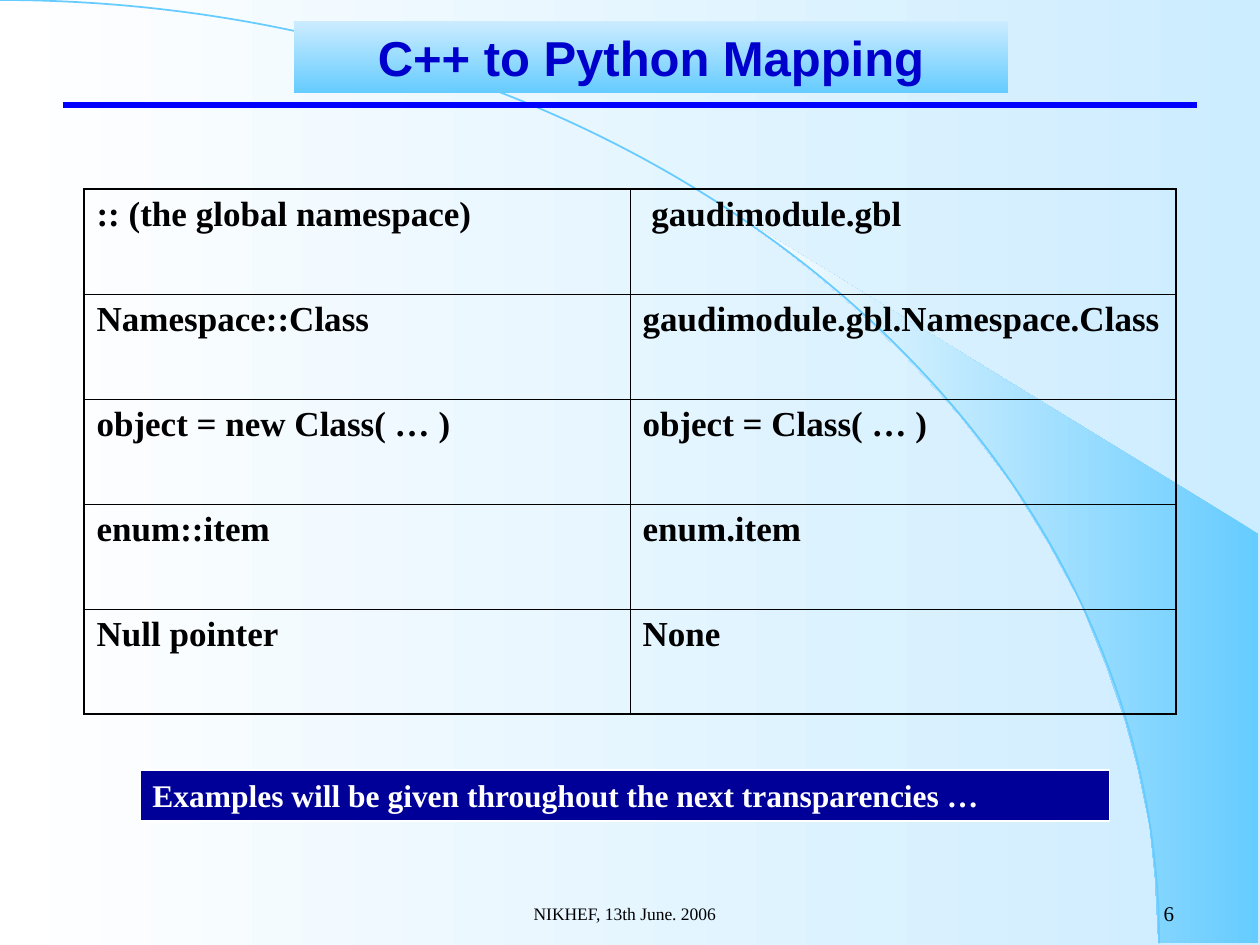
from lxml import etree
from pptx import Presentation
from pptx.dml.color import RGBColor
from pptx.enum.shapes import MSO_CONNECTOR, MSO_SHAPE
from pptx.enum.text import MSO_ANCHOR, MSO_AUTO_SIZE, PP_ALIGN
from pptx.oxml import parse_xml
from pptx.oxml.ns import nsdecls, qn
from pptx.util import Pt

LEFT, CENTER, RIGHT = PP_ALIGN.LEFT, PP_ALIGN.CENTER, PP_ALIGN.RIGHT
TOP, MIDDLE = MSO_ANCHOR.TOP, MSO_ANCHOR.MIDDLE
SERIF, SANS = "Times New Roman", "Arial"
HEX = {
    "pale": "CCECFF", "sky": "66CCFF", "white": "FFFFFF", "mist": "FEFEFE",
    "rule": "0000FF", "title": "0000CC", "navy": "000099", "black": "000000",
}
RGB = {name: RGBColor.from_string(code) for name, code in HEX.items()}


def write(frame, text, size=20, font=SERIF, color="black", bold=True,
          align=LEFT, anchor=TOP):
    frame.word_wrap = True
    frame.auto_size = MSO_AUTO_SIZE.NONE
    frame.vertical_anchor = anchor
    frame.margin_left = frame.margin_right = Pt(7.2)
    frame.margin_top = frame.margin_bottom = Pt(3.6)
    para = frame.paragraphs[0]
    para.text = text
    para.alignment = align
    para.line_spacing = 1.0
    para.space_before = Pt(0)
    para.font.size, para.font.name, para.font.bold = Pt(size), font, bold
    para.font.color.rgb = RGB[color]


def shade(fill, start, end, angle):
    """Give a two-colour gradient; the angle runs counter-clockwise."""
    fill.gradient()
    fill.gradient_angle = angle
    for stop, color in zip(fill.gradient_stops, (start, end)):
        stop.color.rgb = RGB[color]


deck = Presentation()
deck.slide_width, deck.slide_height = Pt(720), Pt(540)
slide = deck.slides.add_slide(deck.slide_layouts[5])
shapes = slide.shapes
shade(slide.background.fill, "pale", "white", 180)

# Backdrop: wedge, arc and rule
curve = [
    (424, 125), (449, 143), (470, 160), (493, 180), (516, 202), (549, 238),
    (578, 276), (599, 310), (618, 345), (632, 380), (643, 412), (650, 438),
    (657, 472), (660, 501), (662, 539),
]
path = shapes.build_freeform(719, 305, scale=Pt(1))
path.add_line_segments(curve + [(719, 539)], close=True)
wedge = path.convert_to_shape()
wedge.shadow.inherit = False
wedge.line.fill.background()
shade(wedge.fill, "sky", "mist", 180)

arc = shapes.add_shape(MSO_SHAPE.ARC, Pt(-662.4), Pt(0), Pt(1324.8), Pt(1078))
arc.shadow.inherit = False
arc.fill.background()
arc.line.color.rgb = RGB["sky"]
arc.line.width = Pt(1)

rule = shapes.add_connector(
    MSO_CONNECTOR.STRAIGHT, Pt(36), Pt(60), Pt(684), Pt(60))
rule.line.color.rgb = RGB["rule"]
rule.line.width = Pt(3)
etree.SubElement(rule._element.spPr, qn("a:effectLst"))

# Title, raised above the backdrop
title = shapes.title
title.left, title.top, title.width, title.height = (
    Pt(168), Pt(12), Pt(408), Pt(41))
shade(title.fill, "pale", "sky", 270)
write(title.text_frame, "C++ to Python Mapping", size=28, font=SANS,
      color="title", align=CENTER)
shapes._spTree.append(title._element)

# Mapping table
rows = [
    (":: (the global namespace)", " gaudimodule.gbl"),
    ("Namespace::Class", "gaudimodule.gbl.Namespace.Class"),
    ("object = new Class( … )", "object = Class( … )"),
    ("enum::item", "enum.item"),
    ("Null pointer", "None"),
]
table = shapes.add_table(
    len(rows), 2, Pt(48), Pt(108), Pt(624), Pt(300)).table
table.first_row = table.horz_banding = False
last = len(rows) - 1
for r, row in enumerate(rows):
    for c, text in enumerate(row):
        cell = table.cell(r, c)
        cell.fill.background()
        cell.margin_left = cell.margin_right = Pt(7.2)
        cell.margin_top = cell.margin_bottom = Pt(3.6)
        para = cell.text_frame.paragraphs[0]
        para.text = text
        para.font.size, para.font.name, para.font.bold = Pt(20), SERIF, True
        para.font.color.rgb = RGB["black"]
        outer = {"L": c == 0, "R": c == 1, "T": r == 0, "B": r == last}
        props = cell._tc.get_or_add_tcPr()
        for i, (side, edge) in enumerate(outer.items()):
            width = Pt(1.08 if edge else 0.45)
            props.insert(i, parse_xml(
                f'<a:ln{side} {nsdecls("a")} w="{width}"><a:solidFill>'
                f'<a:srgbClr val="{HEX["black"]}"/></a:solidFill></a:ln{side}>'))

# Closing remark and footer
bar = shapes.add_shape(MSO_SHAPE.RECTANGLE, Pt(80), Pt(440), Pt(554), Pt(29))
bar.shadow.inherit = False
bar.fill.solid()
bar.fill.fore_color.rgb = RGB["navy"]
bar.line.color.rgb = RGB["white"]
bar.line.width = Pt(1)
write(bar.text_frame,
      "Examples will be given throughout the next transparencies …",
      size=18, color="white")

for text, left, width, size, align in [
    ("NIKHEF, 13th June. 2006", 210, 294, 10, CENTER),
    ("6", 528, 150, 12, RIGHT),
]:
    box = shapes.add_textbox(Pt(left), Pt(504), Pt(width), Pt(36))
    write(box.text_frame, text, size=size, bold=False, align=align,
          anchor=MIDDLE)

deck.save("out.pptx")
